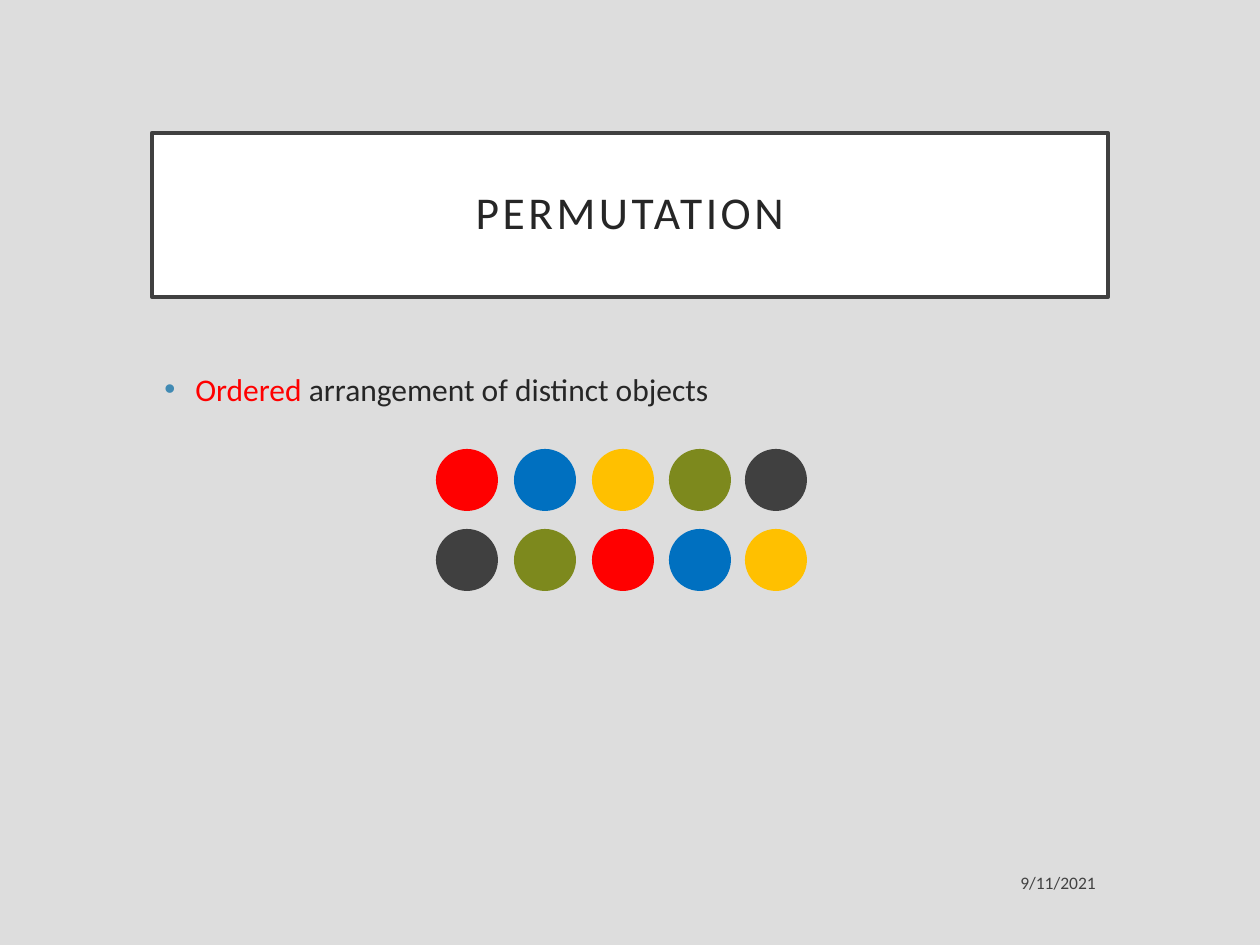
"""Build a slide that explains permutation with two rows of coloured circles."""
from lxml import etree
from pptx import Presentation
from pptx import util as u
from pptx.dml.color import RGBColor
from pptx.enum import shapes, text
from pptx.oxml import ns

PX = 914400 / 126
FONT = "Calibri"
GREY = RGBColor(0xDD, 0xDD, 0xDD)
WHITE = RGBColor(0xFF, 0xFF, 0xFF)
BLACK = RGBColor(0, 0, 0)
INK = RGBColor(0x26, 0x26, 0x26)
DARK = RGBColor(0x40, 0x40, 0x40)
RED = RGBColor(0xFF, 0, 0)
BLUE = RGBColor(0, 0x70, 0xC0)
YELLOW = RGBColor(0xFF, 0xC0, 0)
OLIVE = RGBColor(0x7D, 0x89, 0x1D)


def place(*lengths):
    return [u.Emu(round(length * PX)) for length in lengths]


def style(span, size, color):
    span.font.name = FONT
    span.font.size = u.Pt(size)
    span.font.color.rgb = color


deck = Presentation()
deck.slide_width, deck.slide_height = place(1260, 945)
page = deck.slides.add_slide(deck.slide_layouts[6])
page.background.fill.solid()
page.background.fill.fore_color.rgb = GREY

title = page.shapes.add_shape(shapes.MSO_SHAPE.RECTANGLE, *place(152, 133, 956, 164))
title.shadow.inherit = False
title.fill.solid()
title.fill.fore_color.rgb = WHITE
title.line.color.rgb = DARK
title.line.width = u.Pt(2.5)
frame = title.text_frame
frame.text = "PERMUTATION"
frame.word_wrap = True
frame.vertical_anchor = text.MSO_ANCHOR.MIDDLE
frame.margin_left, frame.margin_top, frame.margin_right, frame.margin_bottom = place(25, 25, 25, 25)
para = frame.paragraphs[0]
para.alignment = text.PP_ALIGN.CENTER
para.line_spacing = 0.9
style(para.runs[0], 26, INK)
para.runs[0].font._element.set("spc", "200")

body = page.shapes.add_textbox(*place(152, 364, 956, 427))
body.text_frame.word_wrap = True
para = body.text_frame.paragraphs[0]
props = para._p.get_or_add_pPr()
indent = place(31)[0]
props.set("marL", str(indent))
props.set("indent", str(-indent))
bullet_color = etree.SubElement(props, ns.qn("a:buClr"))
etree.SubElement(bullet_color, ns.qn("a:srgbClr"), val="418AB3")
etree.SubElement(props, ns.qn("a:buFont"), typeface="Arial")
etree.SubElement(props, ns.qn("a:buChar"), char="•")
for words, color in (("Ordered", RED), (" arrangement of distinct objects", INK)):
    span = para.add_run()
    span.text = words
    style(span, 18, color)

date = page.shapes.add_textbox(*place(824, 860, 284, 44))
date.text_frame.text = "9/11/2021"
date.text_frame.word_wrap = True
date.text_frame.vertical_anchor = text.MSO_ANCHOR.MIDDLE
para = date.text_frame.paragraphs[0]
para.alignment = text.PP_ALIGN.RIGHT
style(para.runs[0], 10, BLACK)
date_color = para.runs[0].font._element.find(".//" + ns.qn("a:srgbClr"))
etree.SubElement(date_color, ns.qn("a:alpha"), val="70000")

CIRCLE_LEFTS = (436, 514, 592, 669, 745)
CIRCLE_ROWS = (
    (449, (RED, BLUE, YELLOW, OLIVE, DARK)),
    (529, (DARK, OLIVE, RED, BLUE, YELLOW)),
)
for top, colors in CIRCLE_ROWS:
    for left, color in zip(CIRCLE_LEFTS, colors):
        circle = page.shapes.add_shape(shapes.MSO_SHAPE.OVAL, *place(left, top, 62, 62))
        circle.shadow.inherit = False
        circle.fill.solid()
        circle.fill.fore_color.rgb = color
        circle.line.fill.background()

deck.save("out.pptx")
